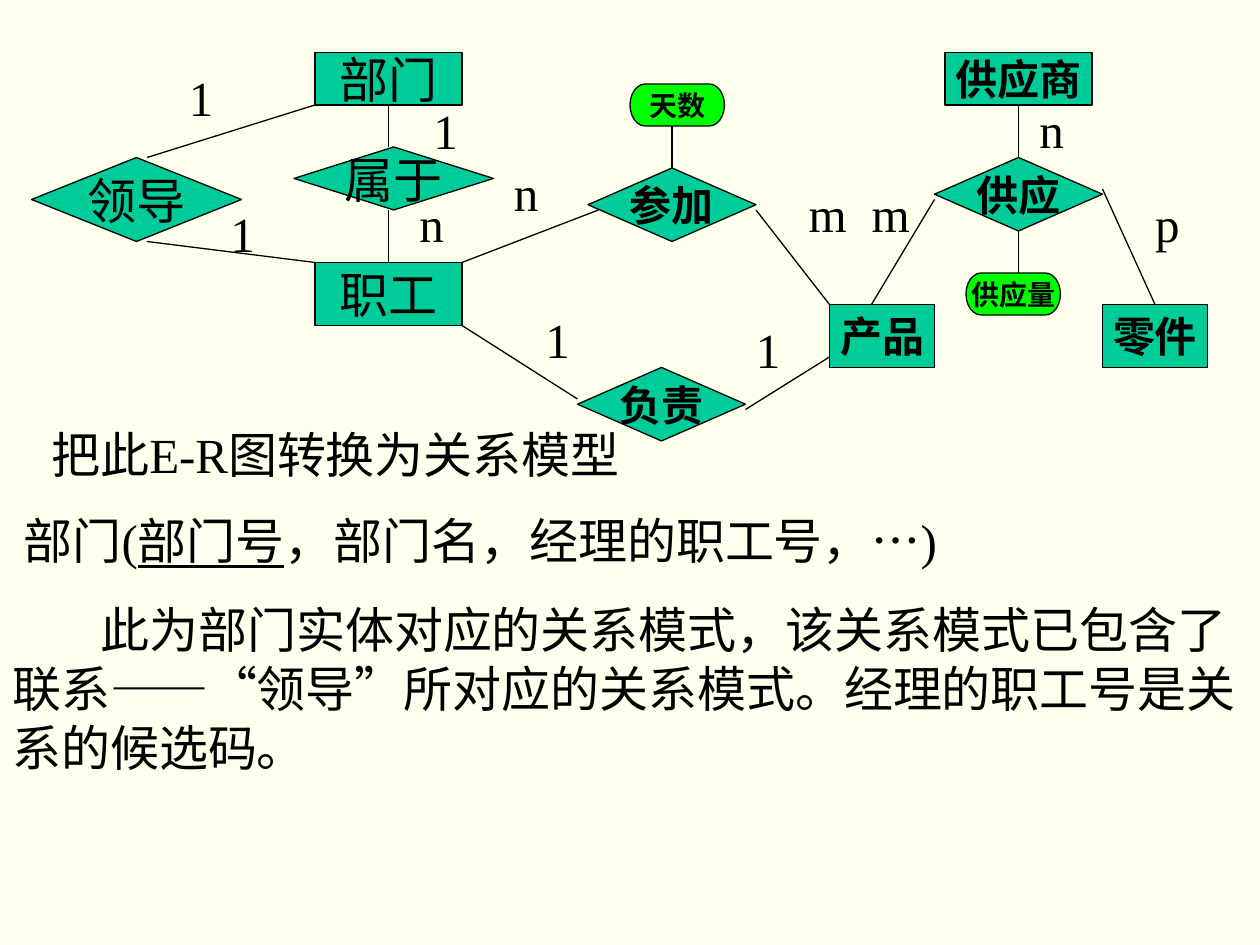
from pptx import Presentation
from pptx.dml.color import RGBColor
from pptx.enum.shapes import MSO_CONNECTOR, MSO_SHAPE
from pptx.enum.text import MSO_ANCHOR, MSO_AUTO_SIZE, PP_ALIGN
from pptx.oxml.ns import qn
from pptx.util import Inches, Pt
from lxml import etree

RECT = MSO_SHAPE.RECTANGLE
DIAMOND = MSO_SHAPE.DIAMOND
DECISION = MSO_SHAPE.FLOWCHART_DECISION
TERMINATOR = MSO_SHAPE.FLOWCHART_TERMINATOR
STRAIGHT = MSO_CONNECTOR.STRAIGHT
CENTER, LEFT = PP_ALIGN.CENTER, PP_ALIGN.LEFT
MIDDLE = MSO_ANCHOR.MIDDLE
GROW = MSO_AUTO_SIZE.SHAPE_TO_FIT_TEXT
TOP_SITE, BOTTOM_SITE = 0, 2

THEME = {
    "font": "Times New Roman",
    "paper": RGBColor(0xFF, 0xFF, 0xEE),
    "ink": RGBColor(0, 0, 0),
    "node": RGBColor(0, 0xCC, 0x99),
    "attribute": RGBColor(0, 0xFF, 0),
    "body": 28,
    "strong": 24,
    "small": 16,
    "line": 0.75,
    "gap": 17.5,
}

GRID = 12

NODES = [
    ("部门", RECT, (30, 5, 14, 5), "node", "body"),
    ("属于", DIAMOND, (28, 14, 19, 6), "node", "body"),
    ("职工", RECT, (30, 25, 14, 6), "node", "body"),
    ("领导", DIAMOND, (3, 15, 20, 8), "node", "body"),
    ("供应", DECISION, (89, 15, 16, 7), "node", "strong"),
    ("供应商", RECT, (90, 5, 14, 5), "node", "strong"),
    ("产品", RECT, (79, 29, 10, 6), "node", "strong"),
    ("零件", RECT, (105, 29, 10, 6), "node", "strong"),
    ("供应量", TERMINATOR, (92, 26, 9, 4), "attribute", "small"),
    ("负责", DECISION, (55, 35, 16, 7), "node", "strong"),
    ("参加", DECISION, (56, 16, 16, 7), "node", "strong"),
    ("天数", TERMINATOR, (60, 8, 9, 4), "attribute", "small"),
]

LINKS = [
    ((37, 10), (37, 14), ("部门", BOTTOM_SITE), None),
    ((37, 20), (37, 25), None, ("职工", TOP_SITE)),
    ((30, 10), (14, 15), None, None),
    ((14, 23), (30, 25), None, None),
    ((97, 15), (97, 10), ("供应", TOP_SITE), ("供应商", BOTTOM_SITE)),
    ((89, 19), (83, 29), None, None),
    ((105, 18), (110, 29), None, ("零件", TOP_SITE)),
    ((97, 22), (97, 26), ("供应", BOTTOM_SITE), None),
    ((44, 25), (57, 20), None, None),
    ((44, 31), (55, 38), None, None),
    ((72, 20), (79, 29), None, None),
    ((71, 39), (79, 34), None, None),
    ((64, 12), (64, 16), None, ("参加", TOP_SITE)),
]

LABELS = [
    ("1", 1.4, 0.49, 0.39),
    ("1", 1.73, 1.57, 0.39),
    ("1", 3.34, 0.75, 0.39),
    ("n", 3.23, 1.49, 0.39),
    ("n", 3.98, 1.24, 0.39),
    ("1", 4.23, 2.41, 0.39),
    ("m", 6.32, 1.41, 0.5),
    ("1", 5.9, 2.49, 0.39),
    ("m", 6.82, 1.41, 0.5),
    ("n", 8.15, 0.74, 0.39),
    ("p", 9.07, 1.49, 0.39),
]
LABEL_HEIGHT = 0.57

TASK_BOX = (0.31, 3.32, 5.2, LABEL_HEIGHT)
TASK = [(0, [("把此E-R图转换为关系模型", False)])]

ANSWER_BOX = (0, 4, 10, 2.21)
ANSWER = [
    (0.09, [("部门(", False), ("部门号", True), ("，部门名，经理的职工号，…)", False)]),
    (0.7, [("此为部门实体对应的关系模式，该关系模式已包含了联系——“领导”所对应的关系模式。"
            "经理的职工号是关系的候选码。", False)]),
]


def grid_lengths(cells):
    return [Inches(cell / GRID) for cell in cells]


def add_span(para, text, size="body", bold=False, underline=False):
    span = para.add_run()
    span.text = text
    font = span.font
    font.name = THEME["font"]
    font.size = Pt(THEME[size])
    font.color.rgb = THEME["ink"]
    font.bold = bold
    font.underline = underline


def style_line(line):
    line.color.rgb = THEME["ink"]
    line.width = Pt(THEME["line"])


def add_node(page, text, kind, cells, fill, size):
    node = page.shapes.add_shape(kind, *grid_lengths(cells))
    node.shadow.inherit = False
    node.fill.solid()
    node.fill.fore_color.rgb = THEME[fill]
    style_line(node.line)
    frame = node.text_frame
    frame.word_wrap = False
    frame.vertical_anchor = MIDDLE
    para = frame.paragraphs[0]
    para.alignment = CENTER
    add_span(para, text, size, bold=size != "body")
    return node


def add_link(page, nodes, start, end, start_joint, end_joint):
    link = page.shapes.add_connector(STRAIGHT, *grid_lengths(start + end))
    style_line(link.line)
    etree.SubElement(link._element.spPr, qn("a:effectLst"))
    if start_joint:
        name, site = start_joint
        link.begin_connect(nodes[name], site)
    if end_joint:
        name, site = end_joint
        link.end_connect(nodes[name], site)


def add_text_frame(page, area, wrap):
    frame = page.shapes.add_textbox(*map(Inches, area)).text_frame
    frame.word_wrap = wrap
    frame.auto_size = GROW
    return frame


def add_paragraphs(page, area, paragraphs):
    frame = add_text_frame(page, area, True)
    for index, (indent, spans) in enumerate(paragraphs):
        para = frame.add_paragraph() if index else frame.paragraphs[0]
        para.alignment = LEFT
        if index:
            para.space_before = Pt(THEME["gap"])
        para._p.get_or_add_pPr().set("indent", str(Inches(indent)))
        for text, underline in spans:
            add_span(para, text, underline=underline)


def main():
    deck = Presentation()
    deck.slide_width, deck.slide_height = Inches(10), Inches(7.5)
    page = deck.slides.add_slide(deck.slide_layouts[6])
    page.background.fill.solid()
    page.background.fill.fore_color.rgb = THEME["paper"]
    nodes = {node[0]: add_node(page, *node) for node in NODES}
    for link in LINKS:
        add_link(page, nodes, *link)
    for text, left, top, width in LABELS:
        frame = add_text_frame(page, (left, top, width, LABEL_HEIGHT), False)
        add_span(frame.paragraphs[0], text)
    add_paragraphs(page, TASK_BOX, TASK)
    add_paragraphs(page, ANSWER_BOX, ANSWER)
    deck.save("out.pptx")


if __name__ == "__main__":
    main()
